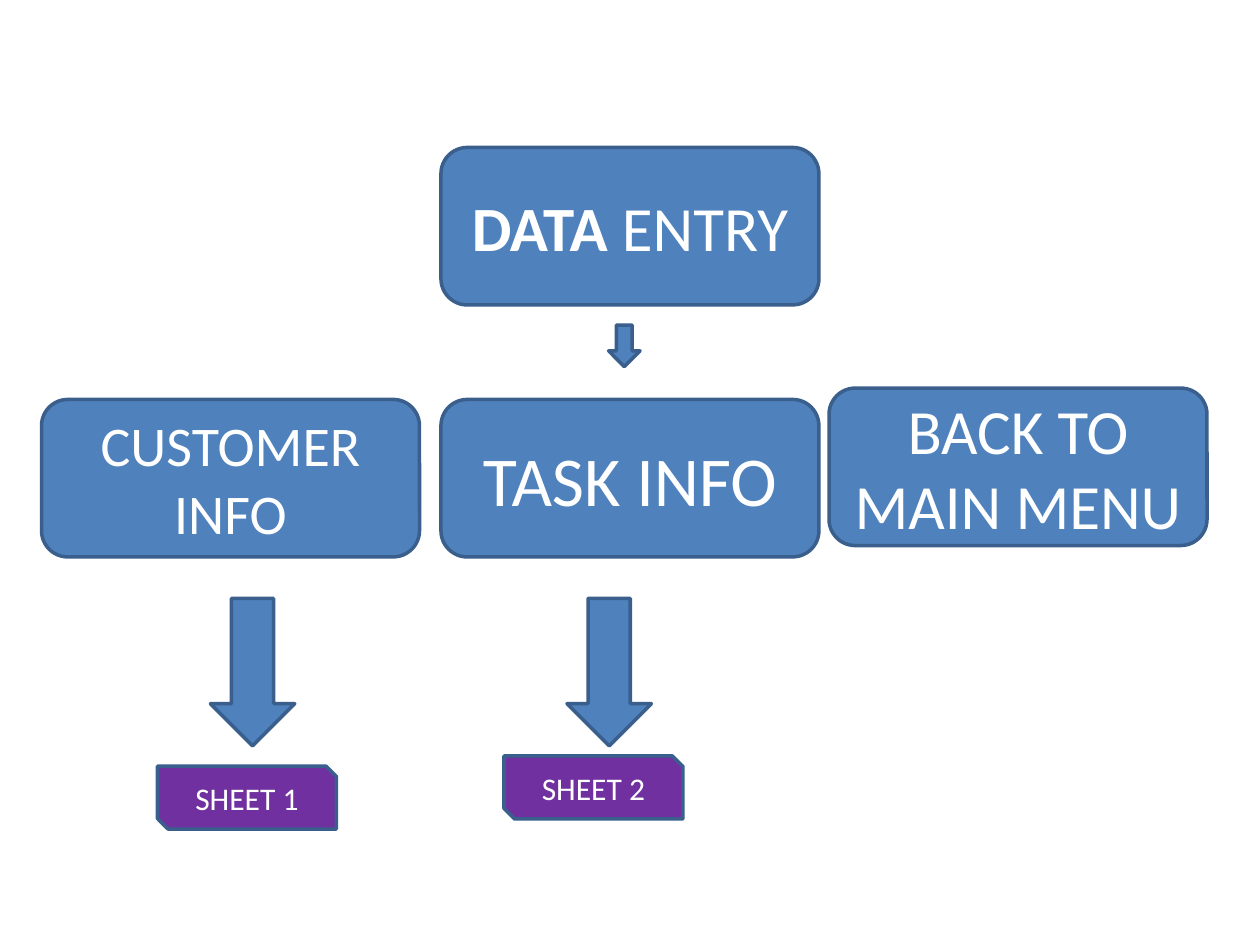
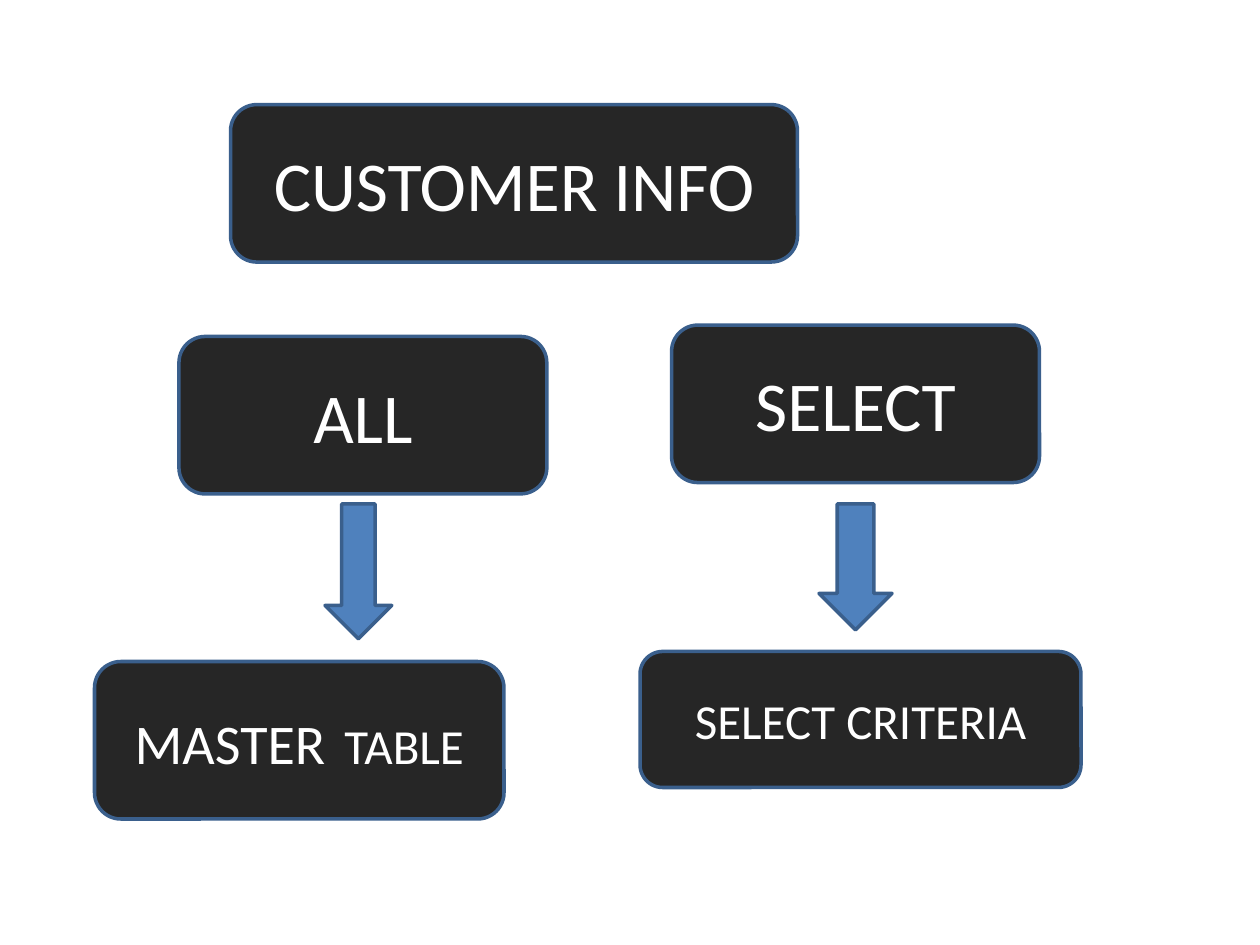
from pptx import Presentation
from pptx.dml.color import RGBColor
from pptx.enum import shapes, text
from pptx.util import Inches, Pt

BLUE = RGBColor(0x4F, 0x81, 0xBD)
OUTLINE = RGBColor(0x3A, 0x5F, 0x8C)
PURPLE = RGBColor(0x70, 0x30, 0xA0)
CHARCOAL = RGBColor(0x26, 0x26, 0x26)
WHITE = RGBColor(0xFF, 0xFF, 0xFF)
FONT = "Calibri"
BOX_HEIGHT = 1.25
BLANK_LAYOUT = 6


class MenuChart:
    """Draws menu boxes, sheets and arrows on the current slide."""

    def __init__(self, presentation):
        self.presentation = presentation
        self.slide = None
        self.box_fill = None

    def new_slide(self, box_fill):
        layout = self.presentation.slide_layouts[BLANK_LAYOUT]
        self.slide = self.presentation.slides.add_slide(layout)
        self.box_fill = box_fill

    def outlined(self, kind, left, top, width, height, fill):
        shape = self.slide.shapes.add_shape(
            kind, Inches(left), Inches(top), Inches(width), Inches(height))
        shape.shadow.inherit = False
        shape.fill.solid()
        shape.fill.fore_color.rgb = fill
        shape.line.color.rgb = OUTLINE
        shape.line.width = Pt(2)
        return shape

    def label(self, shape, *pieces):
        """Write centred runs, each given as (wording, size, bold)."""
        frame = shape.text_frame
        frame.word_wrap = True
        frame.vertical_anchor = text.MSO_ANCHOR.MIDDLE
        paragraph = frame.paragraphs[0]
        paragraph.alignment = text.PP_ALIGN.CENTER
        for wording, size, bold in pieces:
            run = paragraph.add_run()
            run.text = wording
            run.font.name = FONT
            run.font.size = Pt(size)
            run.font.bold = bold
            run.font.color.rgb = WHITE

    def box(self, left, top, width, *pieces, height=BOX_HEIGHT):
        shape = self.outlined(shapes.MSO_SHAPE.ROUNDED_RECTANGLE,
                              left, top, width, height, self.box_fill)
        self.label(shape, *pieces)
        return shape

    def sheet(self, left, top, wording):
        shape = self.outlined(shapes.MSO_SHAPE.SNIP_2_DIAG_RECTANGLE,
                              left, top, 1.42, 0.5, PURPLE)
        self.label(shape, (wording, 18, False))

    def arrow(self, left, top, width, height):
        self.outlined(shapes.MSO_SHAPE.DOWN_ARROW, left, top, width, height, BLUE)


def build_data_entry(chart):
    chart.new_slide(BLUE)
    chart.box(3.5, 1.17, 3, ("DATA", 36, True), (" ENTRY", 36, False))
    for left, top, wording, size in (
            (3.5, 3.17, "TASK INFO", 40),
            (0.33, 3.17, "CUSTOMER INFO", 32),
            (6.58, 3.08, "BACK TO MAIN MENU", 36)):
        chart.box(left, top, 3, (wording, size, False))
    chart.arrow(4.83, 2.58, 0.25, 0.33)
    for arrow_left, sheet_left, sheet_top, wording in (
            (1.67, 1.25, 6.08, "SHEET 1"),
            (4.5, 4, 6, "SHEET 2")):
        chart.arrow(arrow_left, 4.75, 0.67, 1.17)
        chart.sheet(sheet_left, sheet_top, wording)


def build_customer_info(chart):
    chart.new_slide(CHARCOAL)
    for left, top, width, wording in (
            (1.83, 0.83, 4.5, "CUSTOMER INFO"),
            (5.33, 2.58, 2.92, "SELECT"),
            (1.42, 2.67, 2.92, "ALL")):
        chart.box(left, top, width, (wording, 40, False))
    chart.arrow(2.58, 4, 0.53, 1.07)
    chart.arrow(6.5, 4, 0.58, 1)
    master_table = chart.box(0.75, 5.25, 3.25, ("MASTER", 32, False),
                             (" ", 48, False), ("TABLE", 28, False))
    # The tall space lowers the baseline; a deeper inset lifts it back.
    master_table.text_frame.margin_bottom = Inches(0.19)
    chart.box(5.08, 5.17, 3.5, ("SELECT CRITERIA", 28, False), height=1.08)


def main():
    presentation = Presentation()
    presentation.slide_width = Inches(10)
    presentation.slide_height = Inches(7.5)
    chart = MenuChart(presentation)
    build_data_entry(chart)
    build_customer_info(chart)
    presentation.save("out.pptx")


if __name__ == "__main__":
    main()
